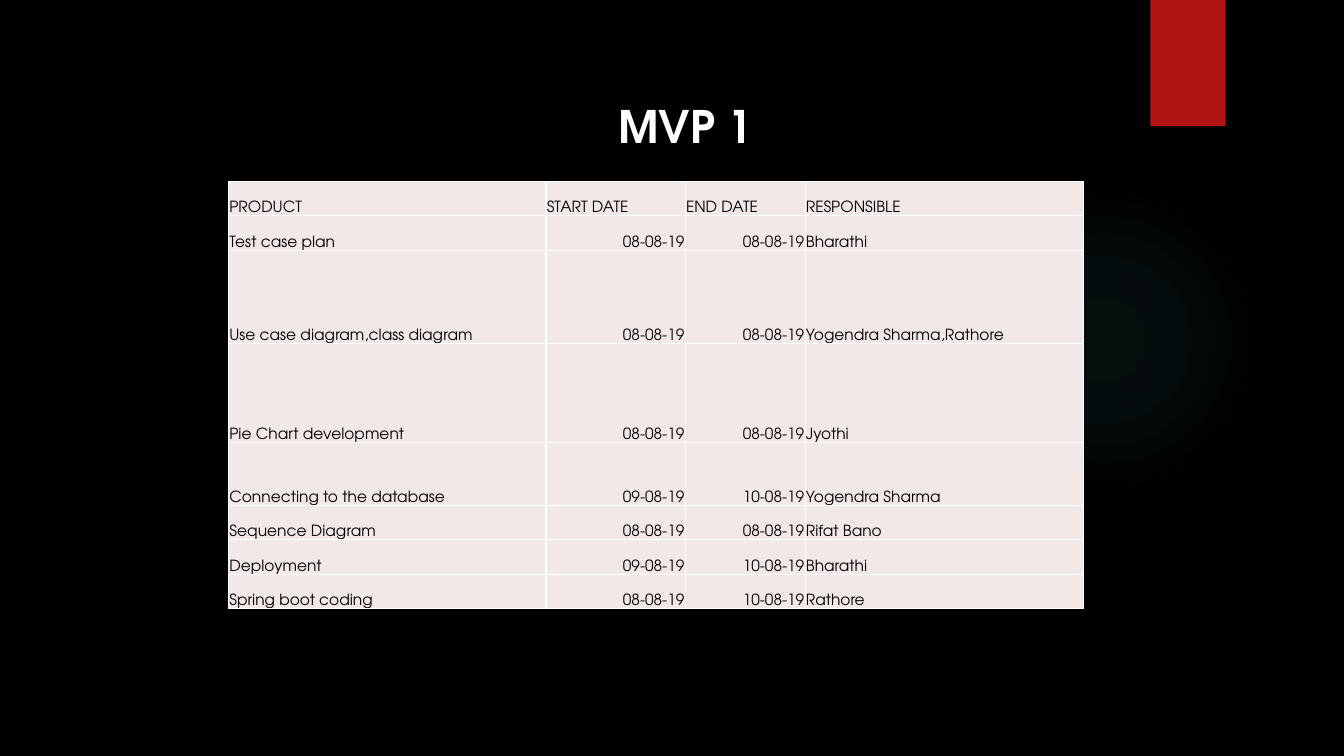
from dataclasses import dataclass

from lxml import etree
from pptx import Presentation
from pptx.dml.color import RGBColor
from pptx.enum.shapes import MSO_SHAPE
from pptx.enum.text import MSO_ANCHOR, PP_ALIGN
from pptx.oxml import parse_xml
from pptx.oxml.ns import nsdecls, qn
from pptx.shapes.autoshape import Shape
from pptx.slide import Slide
from pptx.table import _Cell
from pptx.text.text import _Paragraph
from pptx.util import Cm, Pt

OVAL, RECT = MSO_SHAPE.OVAL, MSO_SHAPE.RECTANGLE
LEFT, CENTER, RIGHT = PP_ALIGN.LEFT, PP_ALIGN.CENTER, PP_ALIGN.RIGHT
BOTTOM, MIDDLE = MSO_ANCHOR.BOTTOM, MSO_ANCHOR.MIDDLE

FONT = "TeX Gyre Adventor"
COLORS = {
    "background": "000000",
    "glow": "50B9C1",
    "ribbon": "B01513",
    "cell": "F2E8E7",
    "border": "FFFFFF",
    "title": "FFFFFF",
    "text": "000000",
}
GLOW_STOPS = ((0, 7), (36, 6), (69, 0))  # position and opacity in percent


@dataclass
class Task:
    product: str
    start: str
    end: str
    responsible: str
    height: float = 0.87


HEADER = Task("PRODUCT", "START DATE", "END DATE", "RESPONSIBLE")
TASKS = [
    Task("Test case plan", "08-08-19", "08-08-19", "Bharathi"),
    Task("Use case diagram,class diagram", "08-08-19", "08-08-19", "Yogendra Sharma,Rathore", 2.34),
    Task("Pie Chart development", "08-08-19", "08-08-19", "Jyothi", 2.51),
    Task("Connecting to the database", "09-08-19", "10-08-19", "Yogendra Sharma", 1.57),
    Task("Sequence Diagram", "08-08-19", "08-08-19", "Rifat Bano"),
    Task("Deployment", "09-08-19", "10-08-19", "Bharathi"),
    Task("Spring boot coding", "08-08-19", "10-08-19", "Rathore"),
]
COLUMN_WIDTHS = (8.0, 3.51, 3.02, 7.01)
COLUMN_ALIGNS = (LEFT, RIGHT, RIGHT, LEFT)


def rgb(name: str) -> RGBColor:
    return RGBColor.from_string(COLORS[name])


def add_run(p: _Paragraph, text: str, size: float, color: str, bold: bool = False) -> None:
    r = p.add_run()
    r.text = text
    r.font.name = FONT
    r.font.size = Pt(size)
    r.font.bold = bold
    r.font.color.rgb = rgb(color)


def add_plain_shape(s: Slide, kind: MSO_SHAPE, x: float, y: float,
                    w: float, h: float, color: str) -> Shape:
    sp = s.shapes.add_shape(kind, Cm(x), Cm(y), Cm(w), Cm(h))
    sp.shadow.inherit = False
    sp.fill.solid()
    sp.fill.fore_color.rgb = rgb(color)
    sp.line.fill.background()
    return sp


def fade_outwards(sp: Shape, color: str) -> None:
    """Replace the solid fill by a transparent radial gradient."""
    stops = "".join(
        f'<a:gs pos="{pos * 1000}"><a:srgbClr val="{COLORS[color]}">'
        f'<a:alpha val="{alpha * 1000}"/></a:srgbClr></a:gs>'
        for pos, alpha in GLOW_STOPS
    )
    gradient = parse_xml(
        f'<a:gradFill {nsdecls("a")} rotWithShape="1"><a:gsLst>{stops}</a:gsLst>'
        '<a:path path="circle"><a:fillToRect l="50000" t="50000" r="50000" b="50000"/>'
        "</a:path></a:gradFill>"
    )
    spPr = sp.element.spPr
    spPr.replace(spPr.find(qn("a:solidFill")), gradient)


def add_borders(cell: _Cell) -> None:
    tcPr = cell._tc.get_or_add_tcPr()
    for i, side in enumerate(("lnL", "lnR", "lnT", "lnB")):
        ln = etree.Element(qn(f"a:{side}"), w=str(Pt(1)))
        fill = etree.SubElement(ln, qn("a:solidFill"))
        etree.SubElement(fill, qn("a:srgbClr"), val=COLORS["border"])
        tcPr.insert(i, ln)


def fill_cell(cell: _Cell, text: str, align: PP_ALIGN) -> None:
    cell.fill.solid()
    cell.fill.fore_color.rgb = rgb("cell")
    cell.vertical_anchor = BOTTOM
    cell.margin_left = cell.margin_right = cell.margin_top = Cm(0.02)
    cell.margin_bottom = 0
    p = cell.text_frame.paragraphs[0]
    p.alignment = align
    add_run(p, text, 11, "text")
    add_borders(cell)


def add_schedule(s: Slide, x: float, y: float) -> None:
    rows = [HEADER, *TASKS]
    width, height = sum(COLUMN_WIDTHS), sum(task.height for task in rows)
    table = s.shapes.add_table(
        len(rows), len(COLUMN_WIDTHS), Cm(x), Cm(y), Cm(width), Cm(height)).table
    for column, column_width in zip(table.columns, COLUMN_WIDTHS):
        column.width = Cm(column_width)
    for row, task in zip(table.rows, rows):
        row.height = Cm(task.height)
        texts = (task.product, task.start, task.end, task.responsible)
        for cell, text, align in zip(row.cells, texts, COLUMN_ALIGNS):
            fill_cell(cell, text, LEFT if task is HEADER else align)


def set_title(s: Slide, text: str) -> None:
    sp = s.shapes.title
    sp.left, sp.top, sp.width, sp.height = Cm(10.49), Cm(2.34), Cm(13.59), Cm(1.63)
    tf = sp.text_frame
    tf.word_wrap = True
    tf.vertical_anchor = MIDDLE
    p = tf.paragraphs[0]
    p.alignment = CENTER
    add_run(p, text, 32, "title", bold=True)


def main() -> None:
    prs = Presentation()
    prs.slide_width, prs.slide_height = Cm(33.87), Cm(19.05)
    s = prs.slides.add_slide(prs.slide_layouts[5])
    s.background.fill.solid()
    s.background.fill.fore_color.rgb = rgb("background")

    glow = add_plain_shape(s, OVAL, 23.9, 4.65, 7.82, 7.82, "glow")
    fade_outwards(glow, "glow")
    add_plain_shape(s, RECT, 28.99, 0, 1.9, 3.18, "ribbon")
    add_schedule(s, 5.76, 4.57)
    set_title(s, "MVP 1")
    prs.save("out.pptx")


if __name__ == "__main__":
    main()
